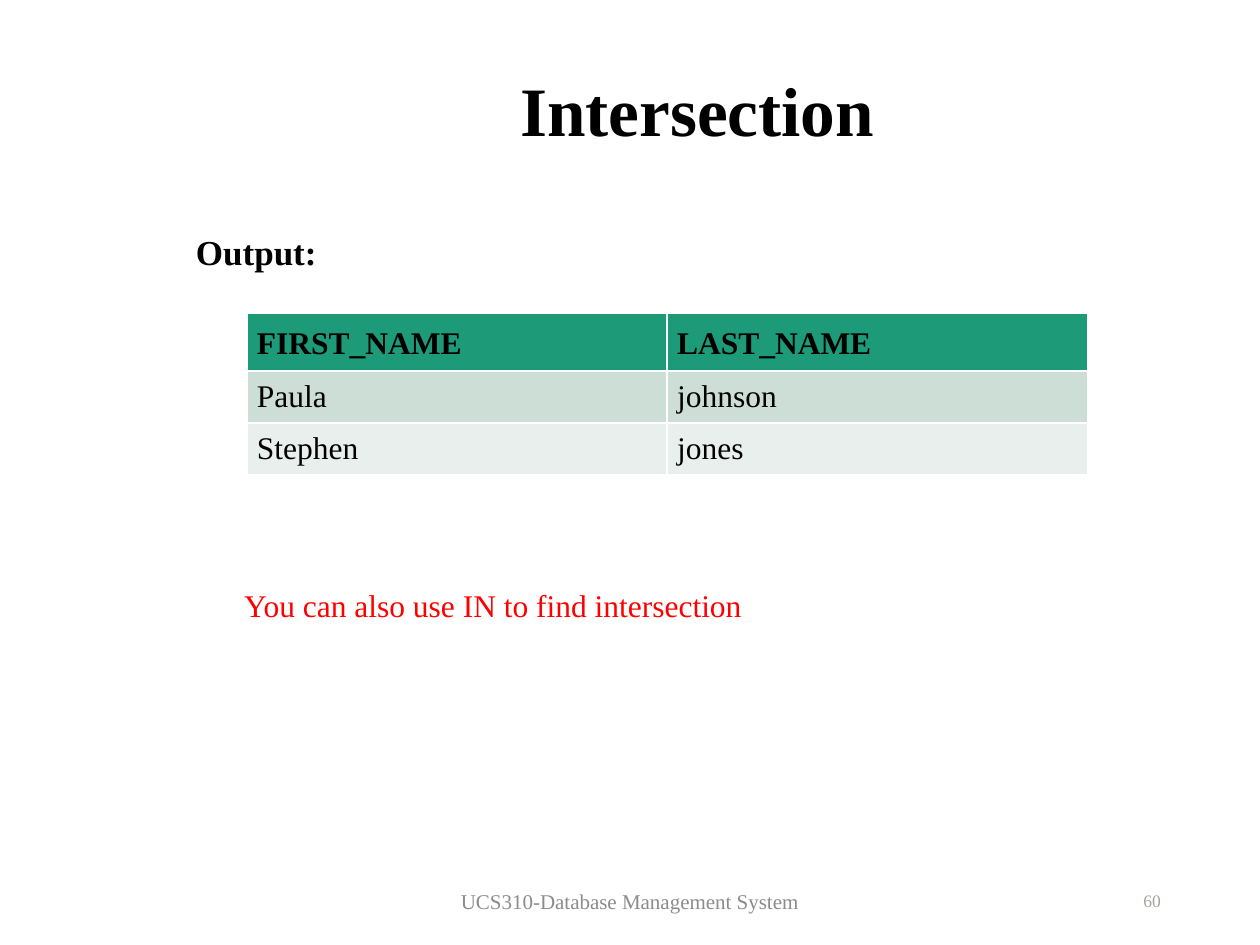
from pptx import Presentation
from pptx.dml.color import RGBColor as Rgb
from pptx.enum.shapes import MSO_SHAPE as Shape
from pptx.enum.text import MSO_ANCHOR as Anchor, PP_ALIGN as Align
from pptx.util import Cm, Pt

HUES = {
    "ink": "000000", "white": "FFFFFF", "red": "FF0000", "gray": "8C8C8C",
    "sand": "A7A399", "head": "1D9A78", "odd": "CDDED6", "even": "E8EFEC",
}
ROWS = [("FIRST_NAME", "LAST_NAME"), ("Paula", "johnson"), ("Stephen", "jones")]


def hue(name):
    """Return the named colour."""
    return Rgb.from_string(HUES[name])


def apply(thing, **form):
    """Set each format value on the thing."""
    for key, value in form.items():
        setattr(thing, key, value)


def write(frame, text, size, tint="ink", bold=False, **form):
    """Put one styled paragraph in a text frame."""
    para = frame.paragraphs[0]
    apply(para, **form)
    run = para.add_run()
    run.text = text
    apply(run.font, name="Times New Roman", size=Pt(size), bold=bold)
    run.font.color.rgb = hue(tint)


def add_text(slide, box, text, size, tint="ink", bold=False,
             anchor=Anchor.MIDDLE, inset=0.25, **form):
    """Add a wrapped text box."""
    frame = slide.shapes.add_textbox(*map(Cm, box)).text_frame
    apply(frame, word_wrap=True, vertical_anchor=anchor, margin_left=Cm(inset))
    write(frame, text, size, tint, bold, **form)


def add_panel(slide, box, text):
    """Add the white-edged panel with its heading."""
    panel = slide.shapes.add_shape(Shape.RECTANGLE, *map(Cm, box))
    panel.shadow.inherit = False
    panel.fill.background()
    panel.line.color.rgb = hue("white")
    panel.line.width = Pt(3)
    frame = panel.text_frame
    apply(frame, word_wrap=True, vertical_anchor=Anchor.TOP)
    write(frame, text, 20, bold=True, alignment=Align.LEFT,
          line_spacing=1.5, space_before=Pt(4))


def add_grid(slide, box, rows):
    """Add the table of names."""
    grid = slide.shapes.add_table(len(rows), len(rows[0]), *map(Cm, box)).table
    for i, row in enumerate(rows):
        grid.rows[i].height = Cm(1.04)
        head = i == 0
        pad = Cm(0.2 if head else 0.1)
        for j, text in enumerate(row):
            cell = grid.cell(i, j)
            apply(cell, margin_left=Cm(0.2), margin_right=Cm(0.2),
                  margin_top=pad, margin_bottom=pad,
                  vertical_anchor=Anchor.BOTTOM if head else Anchor.MIDDLE)
            cell.fill.solid()
            cell.fill.fore_color.rgb = hue(("head", "odd", "even")[i])
            write(cell.text_frame, text, 18, bold=head)


def main():
    """Build the slide and save it."""
    deck = Presentation()
    apply(deck, slide_width=Cm(25.4), slide_height=Cm(19.05))
    slide = deck.slides.add_slide(deck.slide_layouts[6])
    add_text(slide, (1.22, 0, 25.32, 3.18), "Intersection", 39.6, bold=True,
             anchor=Anchor.BOTTOM, inset=0.6, alignment=Align.CENTER,
             line_spacing=0.9)
    add_text(slide, (17.93, 17.65, 5.72, 1.02), "60", 10, "sand",
             alignment=Align.RIGHT)
    add_panel(slide, (3.7, 4.1, 20.32, 4.45), "Output:")
    add_grid(slide, (4.98, 6.32, 16.94, 3.12), ROWS)
    add_text(slide, (4.67, 11.68, 17.53, 1.02),
             "You can also use IN to find intersection", 18, "red",
             anchor=Anchor.TOP)
    add_text(slide, (8.41, 17.65, 8.58, 1.02),
             "UCS310-Database Management System", 12, "gray",
             alignment=Align.CENTER)
    deck.save("out.pptx")


if __name__ == "__main__":
    main()
